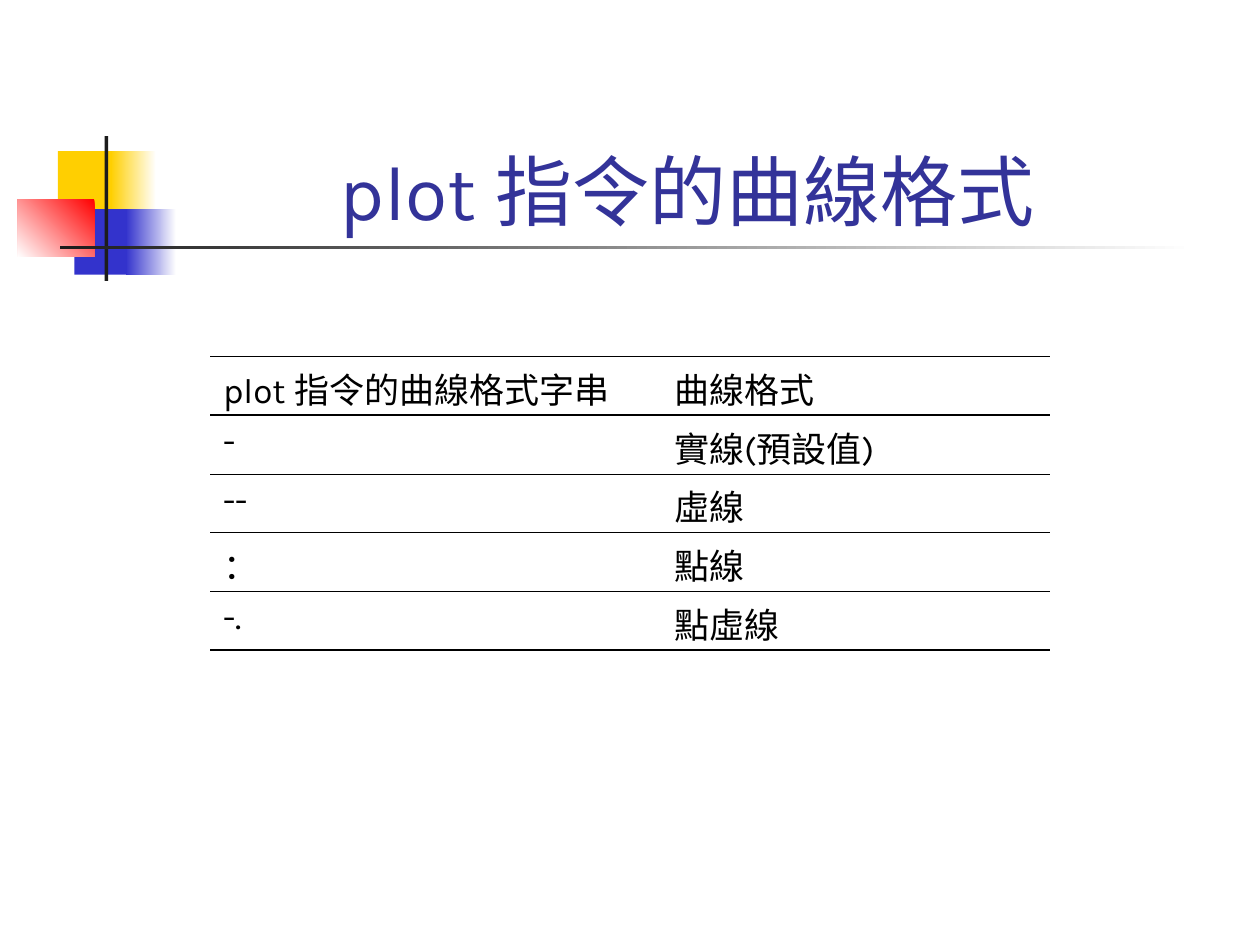
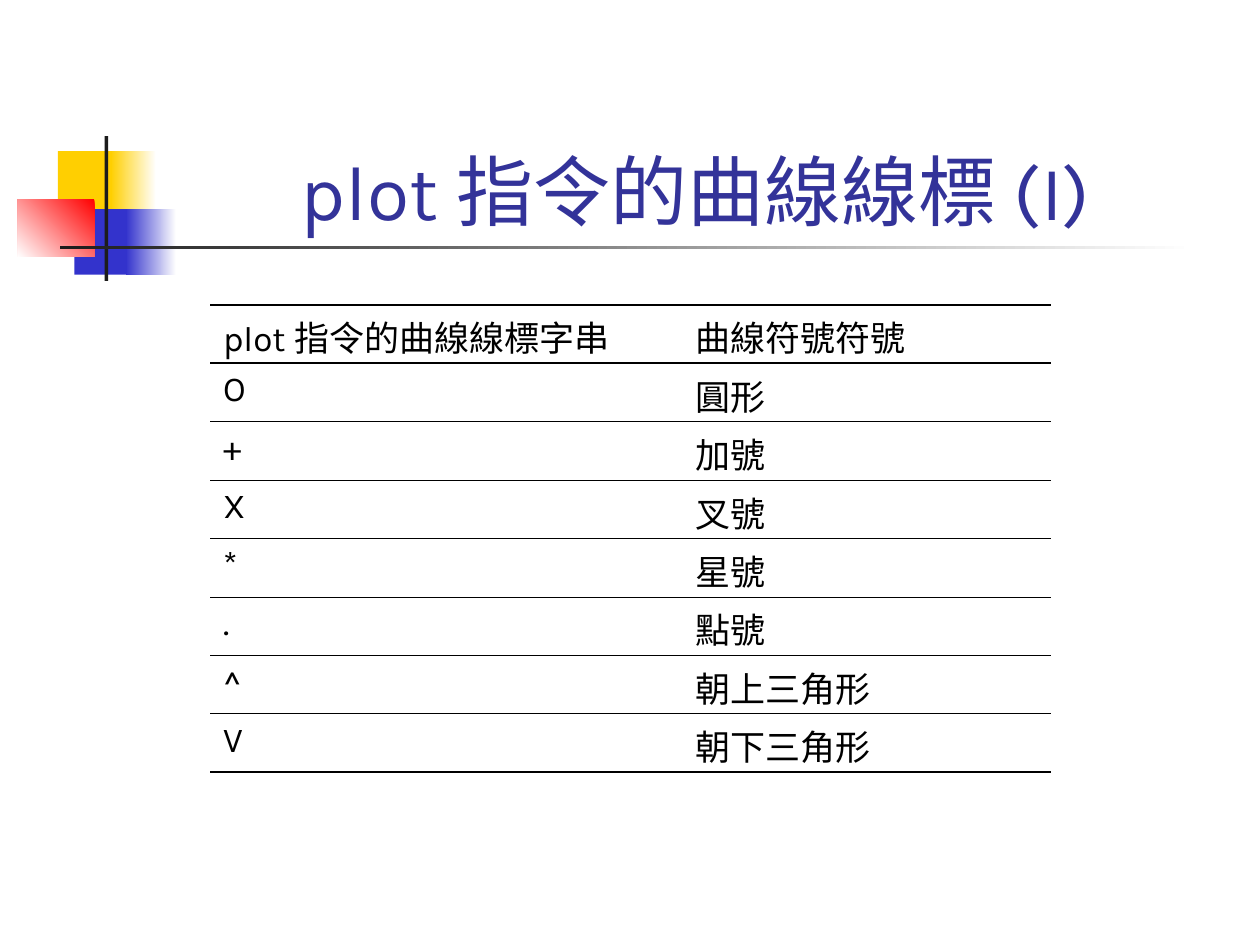
from lxml import etree
from pptx import Presentation
from pptx.dml.color import RGBColor
from pptx.enum.shapes import MSO_SHAPE
from pptx.enum.text import MSO_ANCHOR, PP_ALIGN
from pptx.oxml.ns import qn
from pptx.util import Inches, Pt

FONT = "Karla"
TITLE_COLOR = "333399"
BLACK = "000000"
WHITE = "FFFFFF"
YELLOW = "FFCF01"
BLUE = "3333CC"
RED = "FF0000"
CHARCOAL = "1C1C1C"
FADE_TO_RIGHT = 180
FADE_TO_LOWER_LEFT = 225

# left, top, width, height, colours (one solid, two for a gradient), angle
ORNAMENT = [
    (0.46, 1.2, 0.48, 0.52, [YELLOW], None),
    (0.88, 1.2, 0.36, 0.52, [WHITE, YELLOW], FADE_TO_RIGHT),
    (0.59, 1.66, 0.46, 0.52, [BLUE], None),
    (1, 1.66, 0.4, 0.52, [WHITE, BLUE], FADE_TO_RIGHT),
    (0.14, 1.58, 0.61, 0.46, [RED, WHITE], FADE_TO_LOWER_LEFT),
    (0.83, 1.08, 0.03, 1.15, [CHARCOAL], None),
    (0.48, 1.95, 9, 0.03, [WHITE, CHARCOAL], FADE_TO_RIGHT),
]

TABLE_LEFT = 1.67
THIN, THICK = 0.45, 1.08

LINE_STYLES = [
    ("plot 指令的曲線格式字串", "曲線格式"),
    ("-", "實線(預設值)"),
    ("--", "虛線"),
    ("：", "點線"),
    ("-.", "點虛線"),
]
MARKERS = [
    ("plot 指令的曲線線標字串", "曲線符號符號"),
    ("O", "圓形"),
    ("+", "加號"),
    ("X", "叉號"),
    ("*", "星號"),
    (".", "點號"),
    ("^", "朝上三角形"),
    ("V", "朝下三角形"),
]


def rgb(color):
    return RGBColor.from_string(color)


def write(text_frame, text, size, color):
    text_frame.text = text
    font = text_frame.paragraphs[0].runs[0].font
    font.name = FONT
    font.size = Pt(size)
    font.color.rgb = rgb(color)


def add_block(slide, left, top, width, height, colors, angle):
    shape = slide.shapes.add_shape(
        MSO_SHAPE.RECTANGLE, Inches(left), Inches(top), Inches(width), Inches(height))
    shape.shadow.inherit = False
    shape.line.fill.background()
    if angle is None:
        shape.fill.solid()
        shape.fill.fore_color.rgb = rgb(colors[0])
        return
    shape.fill.gradient()
    shape.fill.gradient_angle = angle
    for stop, color in zip(shape.fill.gradient_stops, colors):
        stop.color.rgb = rgb(color)


def add_title(slide, text):
    box = slide.shapes.add_textbox(Inches(1.26), Inches(0.67), Inches(8.52), Inches(1.25))
    text_frame = box.text_frame
    text_frame.word_wrap = True
    text_frame.vertical_anchor = MSO_ANCHOR.BOTTOM
    write(text_frame, text, 44, TITLE_COLOR)
    text_frame.paragraphs[0].alignment = PP_ALIGN.CENTER


def set_borders(cell, top, bottom):
    """Rule the cell above and below, widths in points, with open sides."""
    properties = cell._tc.get_or_add_tcPr()
    for tag, width in (("a:lnL", 0), ("a:lnR", 0), ("a:lnT", top), ("a:lnB", bottom)):
        line = etree.SubElement(properties, qn(tag), w=str(Pt(width)))
        if width:
            fill = etree.SubElement(line, qn("a:solidFill"))
            etree.SubElement(fill, qn("a:srgbClr"), val=BLACK)
        else:
            etree.SubElement(line, qn("a:noFill"))


def add_ruled_table(slide, rows, top, height, column_widths):
    frame = slide.shapes.add_table(
        len(rows), len(column_widths), Inches(TABLE_LEFT), Inches(top),
        Inches(sum(column_widths)), Inches(height))
    table = frame.table
    table.first_row = False
    table.horz_banding = False
    for column, width in zip(table.columns, column_widths):
        column.width = Inches(width)
    # The heading is enclosed by thick rules and the last row ends with one.
    rules = [THICK, THICK] + [THIN] * (len(rows) - 2) + [THICK]
    for row_index, texts in enumerate(rows):
        for column_index, text in enumerate(texts):
            cell = table.cell(row_index, column_index)
            write(cell.text_frame, text, 20, BLACK)
            set_borders(cell, rules[row_index], rules[row_index + 1])
            cell.fill.background()


def add_slide(presentation, title):
    slide = presentation.slides.add_slide(presentation.slide_layouts[6])
    for block in ORNAMENT:
        add_block(slide, *block)
    add_title(slide, title)
    return slide


def main():
    presentation = Presentation()
    presentation.slide_width = Inches(10)
    presentation.slide_height = Inches(7.5)

    slide = add_slide(presentation, "plot 指令的曲線格式 ")
    add_ruled_table(slide, LINE_STYLES, 2.83, 2.33, [3.58, 3.08])

    slide = add_slide(presentation, "plot 指令的曲線線標 (I)")
    add_ruled_table(slide, MARKERS, 2.42, 3.71, [3.75, 2.92])

    presentation.save("out.pptx")


if __name__ == "__main__":
    main()
